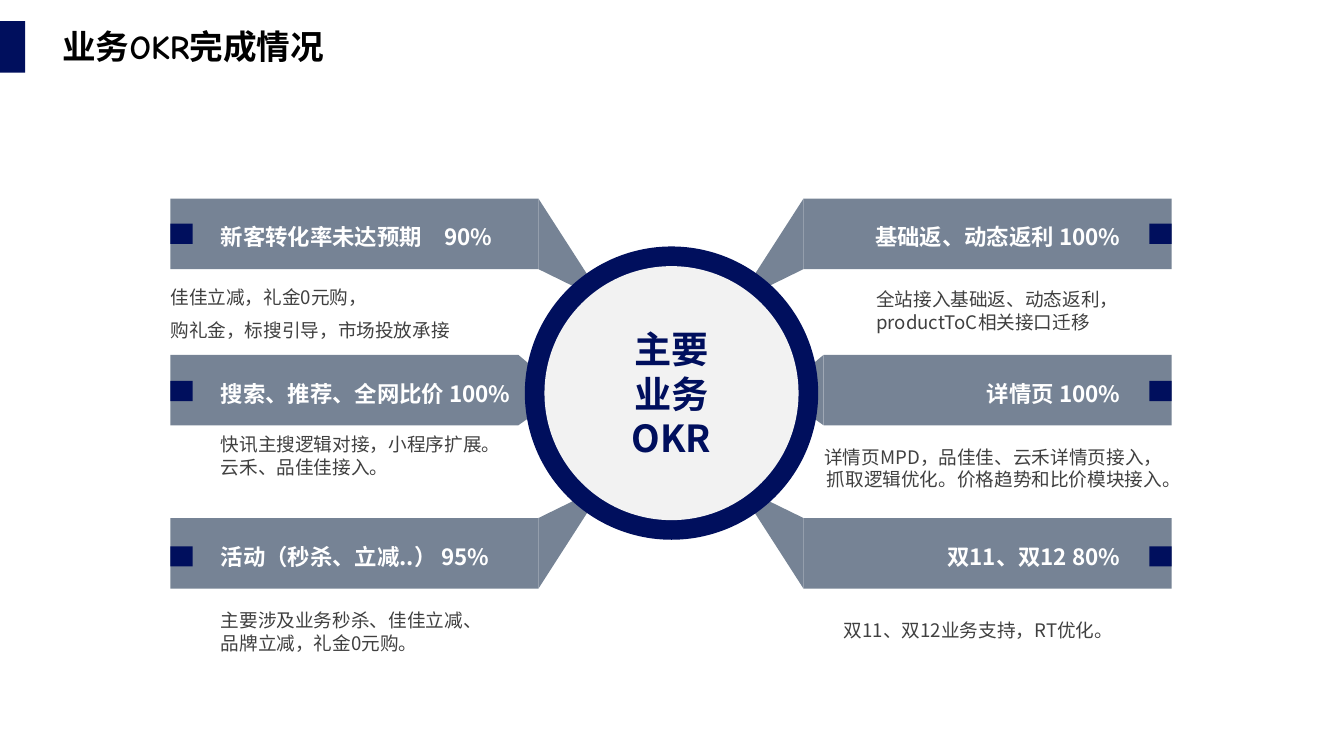
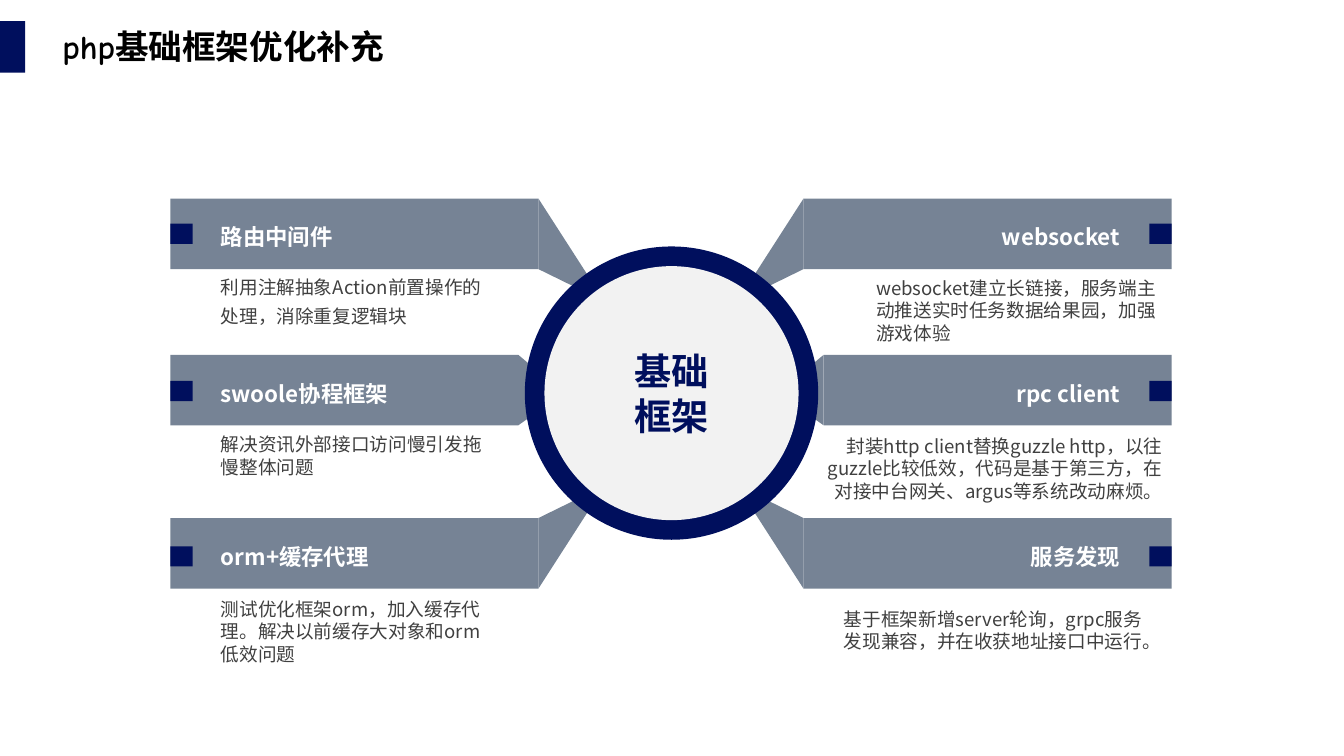
import pptx
import pptx.dml.color
import pptx.enum.shapes
import pptx.enum.text
import pptx.oxml.ns
import pptx.util
from lxml import etree

# Shared style
NAVY = pptx.dml.color.RGBColor(0x00, 0x0F, 0x5D)
SLATE = pptx.dml.color.RGBColor(0x76, 0x83, 0x95)
PALE = pptx.dml.color.RGBColor(0xF2, 0xF2, 0xF2)
GREY = pptx.dml.color.RGBColor(0x40, 0x40, 0x40)
WHITE = pptx.dml.color.RGBColor(0xFF, 0xFF, 0xFF)
BLACK = pptx.dml.color.RGBColor(0x00, 0x00, 0x00)
BODY_FONT = "Noto Sans CJK SC"
TITLE_FONT = "Comic Neue"
RECT = pptx.enum.shapes.MSO_SHAPE.RECTANGLE
OVAL = pptx.enum.shapes.MSO_SHAPE.OVAL
LEFT, CENTER, RIGHT = (pptx.enum.text.PP_ALIGN.LEFT, pptx.enum.text.PP_ALIGN.CENTER,
                       pptx.enum.text.PP_ALIGN.RIGHT)
TOP, MIDDLE = pptx.enum.text.MSO_ANCHOR.TOP, pptx.enum.text.MSO_ANCHOR.MIDDLE

# Grid in inches: the right half mirrors the left one
SLIDE_W, SLIDE_H = 13.33, 7.5
MIRROR = 13.31
EDGE = 1.69
BAR_H = 0.7
MARKER_W, MARKER_H = 0.22, 0.2
HUB_X, HUB_Y = 6.66, 3.9
CORNER_WING = [(0, 0), (0.56, 0.87), (0.49, 0.94), (0, BAR_H)]
MIDDLE_WING = [(0, 0), (0.37, 0.31), (0.37, 0.44), (0, BAR_H)]
# Bar top, bar inner edge, marker top, label top, wing outline
ROWS = [
    (1.97, 5.34, 2.22, 2.16, CORNER_WING),
    (3.52, 5.14, 3.78, 3.72, MIDDLE_WING),
    (5.14, 5.34, 5.42, 5.34, [(x, BAR_H - y) for x, y in CORNER_WING]),
]
LABEL_BOXES = [(2.19, 3.0, LEFT), (8.25, 2.86, RIGHT)]
# Detail boxes by row: left side, right side
DETAIL_BOXES = [
    [(2.19, 2.87, 2.59, 0.18), (8.69, 2.76, 2.91, 0.64)],
    [(2.19, 4.43, 2.59, 0.18), (8.06, 4.14, 3.47, 1.01)],
    [(2.19, 6.01, 2.59, 0.51), (8.37, 5.97, 3.11, 0.56)],
]
WIDE_BOX = (1.69, 2.76, 3.71, 0.64)

# Each row holds (label, detail) for the left and the right side
SLIDES = [
    {
        "title": "业务OKR完成情况",
        "title_w": 2.89,
        "hub": "主要\n业务\nOKR",
        "rows": [
            [("新客转化率未达预期\u300090%", "佳佳立减,礼金0元购,\n购礼金,标搜引导,市场投放承接".replace(",", ",")),
             ("基础返、动态返利 100%", "全站接入基础返、动态返利,productToC相关接口迁移")],
            [("搜索、推荐、全网比价 100%", "快讯主搜逻辑对接,小程序扩展。云禾、品佳佳接入。"),
             ("详情页 100%", "详情页MPD,品佳佳、云禾详情页接入,抓取逻辑优化。价格趋势和比价模块接入。")],
            [("活动(秒杀、立减..) 95%", "主要涉及业务秒杀、佳佳立减、品牌立减,礼金0元购。"),
             ("双11、双12 80%", "双11、双12业务支持,RT优化。")],
        ],
    },
    {
        "title": "php基础框架优化补充",
        "title_w": 3.42,
        "hub": "基础\n框架",
        "rows": [
            [("路由中间件", "利用注解抽象Action前置操作的处理,消除重复逻辑块"),
             ("websocket", "websocket建立长链接,服务端主动推送实时任务数据给果园,加强游戏体验")],
            [("swoole协程框架", "解决资讯外部接口访问慢引发拖慢整体问题"),
             ("rpc client", "封装http client替换guzzle http,以往guzzle比较低效,代码是基于第三方,"
                            "在对接中台网关、argus等系统改动麻烦。")],
            [("orm+缓存代理", "测试优化框架orm,加入缓存代理。解决以前缓存大对象和orm低效问题"),
             ("服务发现", "基于框架新增server轮询,grpc服务发现兼容,并在收获地址接口中运行。")],
        ],
    },
]
# Chinese text takes full-width punctuation
FULL_WIDTH = str.maketrans({",": "\uff0c", "(": "\uff08", ")": "\uff09"})


def inches(*values):
    return [pptx.util.Inches(v) for v in values]


def paint(sp, color):
    sp.shadow.inherit = False
    sp.fill.solid()
    sp.fill.fore_color.rgb = color
    sp.line.fill.background()
    return sp


def add_block(slide, kind, box, color):
    return paint(slide.shapes.add_shape(kind, *inches(*box)), color)


def add_outline(slide, points, color):
    points = [tuple(inches(x, y)) for x, y in points]
    builder = slide.shapes.build_freeform(*points[0], scale=1.0)
    builder.add_line_segments(points[1:], close=True)
    return paint(builder.convert_to_shape(), color)


def write(sp, text, size, color, bold=False, align=LEFT, anchor=TOP,
          font=BODY_FONT, spacing=None, gap=0):
    tf = sp.text_frame
    tf.word_wrap = True
    tf.vertical_anchor = anchor
    tf.text = text.translate(FULL_WIDTH)
    for i, p in enumerate(tf.paragraphs):
        p.alignment = align
        if spacing:
            p.line_spacing = spacing
        if i and gap:
            p.space_before = pptx.util.Pt(gap)
        for r in p.runs:
            r.font.size = pptx.util.Pt(size)
            r.font.bold = bold
            r.font.color.rgb = color
            r.font.name = font
            ea = etree.SubElement(r.font._element, pptx.oxml.ns.qn("a:ea"))
            ea.set("typeface", BODY_FONT)


def add_text(slide, box, text, size, color, flush=True, **style):
    sp = slide.shapes.add_textbox(*inches(*box))
    if flush:
        sp.text_frame.margin_left = sp.text_frame.margin_right = 0
    write(sp, text, size, color, **style)


def add_title(slide, text, width):
    add_block(slide, RECT, (0, 0.21, 0.25, 0.51), NAVY)
    add_text(slide, (0.52, 0.21, width, 0.5), text, 24, BLACK,
             flush=False, bold=True, font=TITLE_FONT)


def add_arm(slide, row, side):
    """Bar with its wing towards the hub and its square marker."""
    top, inner, marker_top, _, wing = row

    def place(x):
        return MIRROR - x if side else x

    bar_left = min(place(EDGE), place(inner))
    add_block(slide, RECT, (bar_left, top, inner - EDGE, BAR_H), SLATE)
    add_outline(slide, [(place(inner + x), top + y) for x, y in wing], SLATE)
    marker_left = min(place(EDGE), place(EDGE + MARKER_W))
    add_block(slide, RECT, (marker_left, marker_top, MARKER_W, MARKER_H), NAVY)


def add_hub(slide, text):
    for size, color in ((2.91, NAVY), (2.52, PALE)):
        box = (HUB_X - size / 2, HUB_Y - size / 2, size, size)
        disc = add_block(slide, OVAL, box, color)
    write(disc, text, 26.6, NAVY, bold=True, align=CENTER, anchor=MIDDLE)


def add_entry(slide, index, side, label, detail):
    x, width, align = LABEL_BOXES[side]
    add_text(slide, (x, ROWS[index][3], width, 0.42), label, 16, WHITE,
             bold=True, align=align)
    box = WIDE_BOX if "\n" in detail else DETAIL_BOXES[index][side]
    add_text(slide, box, detail, 13.3, GREY, anchor=MIDDLE, gap=2.7,
             align=RIGHT if (index, side) == (1, 1) else LEFT,
             spacing=1.3 if (index, side) == (0, 0) else None)


def add_hub_slide(prs, content):
    slide = prs.slides.add_slide(prs.slide_layouts[6])
    for index, entries in enumerate(content["rows"]):
        for side, (label, detail) in enumerate(entries):
            add_arm(slide, ROWS[index], side)
            add_entry(slide, index, side, label, detail)
    add_hub(slide, content["hub"])
    add_title(slide, content["title"], content["title_w"])


def main():
    prs = pptx.Presentation()
    prs.slide_width, prs.slide_height = inches(SLIDE_W, SLIDE_H)
    for content in SLIDES:
        add_hub_slide(prs, content)
    prs.save("out.pptx")


main()
